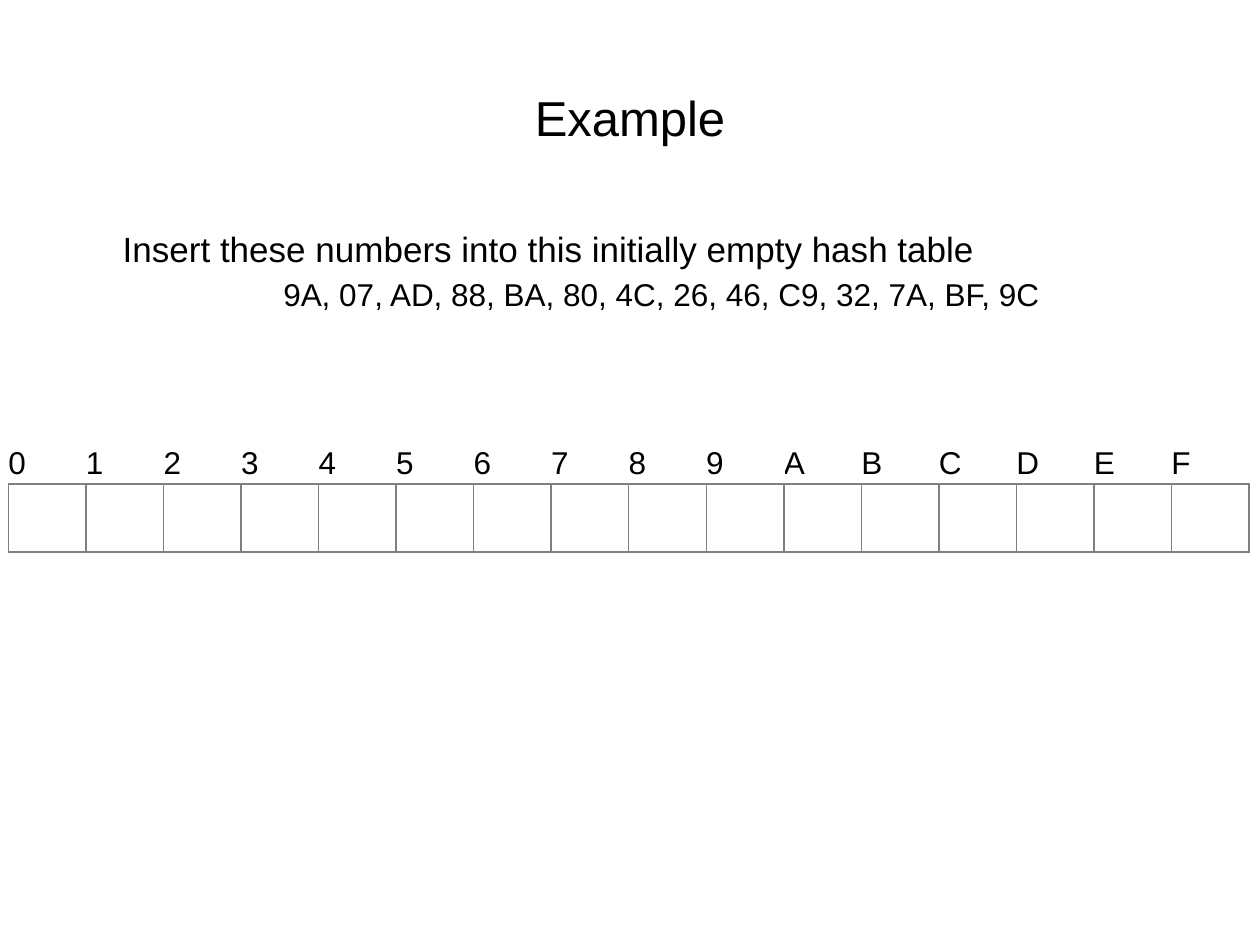
from lxml import etree
from pptx import Presentation
from pptx.dml.color import RGBColor
from pptx.enum import text
from pptx.oxml import ns
from pptx.util import Cm, Pt

COLORS = {"ink": "000000", "grid": "808080"}
FONT = "Arial"
DIGITS = "0123456789ABCDEF"
KEYS = "9A, 07, AD, 88, BA, 80, 4C, 26, 46, C9, 32, 7A, BF, 9C"


def place(box, left, top, width, height):
    """Move and size a box, in centimetres."""
    box.left, box.top, box.width, box.height = map(Cm, (left, top, width, height))


def write(para, words, size, align=text.PP_ALIGN.LEFT, before=0):
    """Write one formatted run into a paragraph."""
    para.alignment = align
    para.space_before = Pt(before)
    span = para.add_run()
    span.text = words
    span.font.name = FONT
    span.font.size = Pt(size)
    span.font.color.rgb = RGBColor.from_string(COLORS["ink"])


def indent(para, margin, first):
    """Set the indents of a paragraph, in centimetres, without a bullet."""
    props = para._p.get_or_add_pPr()
    props.set("marL", str(Cm(margin)))
    props.set("indent", str(Cm(first)))
    etree.SubElement(props, ns.qn("a:buNone"))


def add_borders(cell, sides):
    """Draw grid lines on the given sides of a cell."""
    props = cell._tc.get_or_add_tcPr()
    for side in sides:
        line = etree.SubElement(props, ns.qn(f"a:ln{side}"), w=str(Pt(1)))
        fill = etree.SubElement(line, ns.qn("a:solidFill"))
        etree.SubElement(fill, ns.qn("a:srgbClr"), val=COLORS["grid"])


def add_title(page):
    """Fill the title."""
    box = page.shapes.title
    place(box, 1.27, 0.76, 22.86, 3.18)
    box.text_frame.vertical_anchor = text.MSO_ANCHOR.MIDDLE
    write(box.text_frame.paragraphs[0], "Example", 28, align=text.PP_ALIGN.CENTER)


def add_task(page):
    """Fill the body with the task and its keys."""
    box = page.placeholders[1]
    place(box, 1.27, 4.45, 22.86, 12.57)
    task = box.text_frame.paragraphs[0]
    write(task, "Insert these numbers into this initially empty hash table", 20, before=4)
    indent(task, 0.95, 0)
    keys = box.text_frame.add_paragraph()
    keys.level = 1
    write(keys, KEYS, 18, align=text.PP_ALIGN.CENTER, before=3.6)
    indent(keys, 2.06, -0.79)


def add_hash_table(page):
    """Add the empty slots under their hexadecimal digits."""
    table = page.shapes.add_table(
        2, len(DIGITS), Cm(0.17), Cm(8.92), Cm(25.02), Cm(2.21)
    ).table
    table.first_row = table.horz_banding = False
    table.rows[0].height, table.rows[1].height = Cm(0.84), Cm(1.37)
    for column, digit in enumerate(DIGITS):
        label, slot = table.cell(0, column), table.cell(1, column)
        add_borders(label, "B")
        add_borders(slot, "LRTB")
        for cell in (label, slot):
            cell.fill.background()
            cell.vertical_anchor = text.MSO_ANCHOR.MIDDLE
            cell.margin_left = cell.margin_right = 0
            cell.margin_top = cell.margin_bottom = 0
        write(label.text_frame.paragraphs[0], digit, 18)


def main():
    """Build and save the deck."""
    deck = Presentation()
    deck.slide_width, deck.slide_height = Cm(25.4), Cm(19.05)
    page = deck.slides.add_slide(deck.slide_layouts[1])
    add_task(page)
    add_title(page)
    add_hash_table(page)
    deck.save("out.pptx")


if __name__ == "__main__":
    main()
